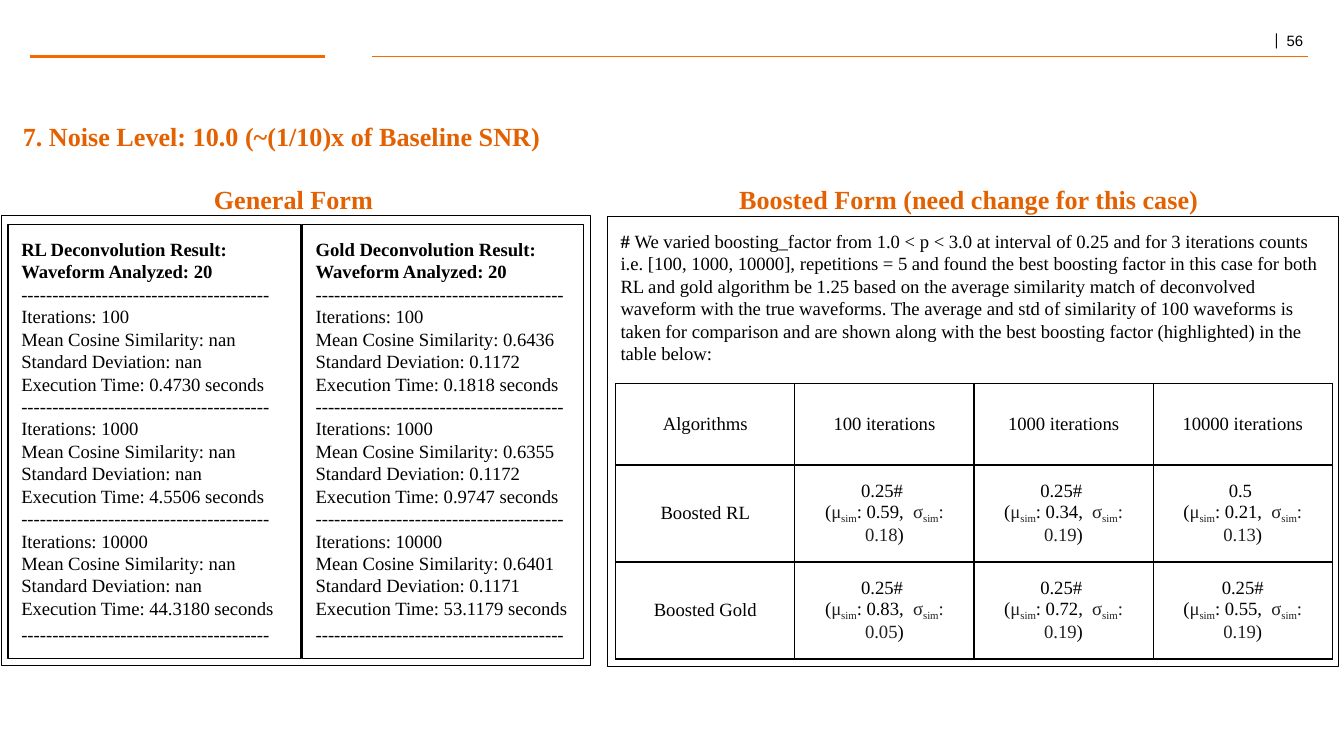
"""Build the slide comparing deconvolution results at noise level 10.0."""
from dataclasses import dataclass

from lxml.etree import SubElement
from pptx import Presentation
from pptx.dml.color import RGBColor
from pptx.enum.shapes import MSO_CONNECTOR, MSO_SHAPE
from pptx.enum.text import MSO_ANCHOR, MSO_AUTO_SIZE, PP_ALIGN
from pptx.oxml.ns import qn
from pptx.shapes.autoshape import Shape
from pptx.slide import Slide
from pptx.table import _Cell
from pptx.text.text import TextFrame, _Paragraph
from pptx.util import Pt

BLACK = RGBColor(0x00, 0x00, 0x00)
GREY = RGBColor(0x22, 0x22, 0x22)
HEADING_ORANGE = RGBColor(0xE4, 0x61, 0x02)
RULE_ORANGE = RGBColor(0xF6, 0x69, 0x00)
FONT = "Times New Roman"
DASHES = "-" * 40
INSET = 7.2


@dataclass(frozen=True)
class Box:
    left: float
    top: float
    width: float
    height: float

    def lengths(self) -> tuple[Pt, Pt, Pt, Pt]:
        return Pt(self.left), Pt(self.top), Pt(self.width), Pt(self.height)


@dataclass(frozen=True)
class Trial:
    iterations: int
    similarity: str
    deviation: str
    seconds: str


@dataclass(frozen=True)
class Report:
    algorithm: str
    box: Box
    trials: tuple[Trial, ...]


@dataclass(frozen=True)
class Score:
    factor: str
    mean: str
    deviation: str


REPORTS = (
    Report("RL", Box(4.3, 120.2, 157, 232.6), (
        Trial(100, "nan", "nan", "0.4730"),
        Trial(1000, "nan", "nan", "4.5506"),
        Trial(10000, "nan", "nan", "44.3180"),
    )),
    Report("Gold", Box(162, 120.2, 150.5, 232.6), (
        Trial(100, "0.6436", "0.1172", "0.1818"),
        Trial(1000, "0.6355", "0.1172", "0.9747"),
        Trial(10000, "0.6401", "0.1171", "53.1179"),
    )),
)
SCORES = {
    "Boosted RL": (Score("0.25# ", "0.59", "0.18"), Score("0.25# ", "0.34", "0.19"),
                   Score("0.5 ", "0.21", "0.13")),
    "Boosted Gold": (Score("0.25# ", "0.83", "0.05"), Score("0.25# ", "0.72", "0.19"),
                     Score("0.25#", "0.55", "0.19")),
}
HEADERS = ("Algorithms", "100 iterations", "1000 iterations", "10000 iterations")
ROW_HEIGHTS = (43.5, 52, 52)
EXPLANATION = (
    "We varied boosting_factor from 1.0 < p < 3.0 at interval of 0.25 and for 3 iterations "
    "counts i.e. [100, 1000, 10000], repetitions = 5 and found the best boosting factor in "
    "this case for both RL and gold algorithm be 1.25 based on the average similarity match "
    "of deconvolved waveform with the true waveforms. The average and std of similarity of "
    "100 waveforms is taken for comparison and are shown along with the best boosting factor "
    "(highlighted) in the table below:"
)


def add_run(paragraph: _Paragraph, text: str, size: float = 10, color: RGBColor = BLACK,
            bold: bool = False, font: str = FONT, subscript: bool = False) -> None:
    run = paragraph.add_run()
    run.text = text
    run.font.name = font
    run.font.size = Pt(size)
    run.font.bold = bold
    run.font.color.rgb = color
    if subscript:
        run.font._element.set("baseline", "-25000")


def format_frame(frame: TextFrame, anchor: MSO_ANCHOR, horizontal: float = INSET,
                 vertical: float = INSET) -> None:
    frame.word_wrap = True
    frame.auto_size = MSO_AUTO_SIZE.NONE
    frame.vertical_anchor = anchor
    frame.margin_left = frame.margin_right = Pt(horizontal)
    frame.margin_top = frame.margin_bottom = Pt(vertical)


def add_rule(slide: Slide, start: float, end: float, width: float) -> None:
    rule = slide.shapes.add_connector(MSO_CONNECTOR.STRAIGHT, Pt(start), Pt(30.3), Pt(end), Pt(30.3))
    rule.line.color.rgb = RULE_ORANGE
    rule.line.width = Pt(width)
    SubElement(rule._element.spPr, qn("a:effectLst"))


def add_frame(slide: Slide, box: Box) -> Shape:
    shape = slide.shapes.add_shape(MSO_SHAPE.RECTANGLE, *box.lengths())
    shape.shadow.inherit = False
    shape.fill.background()
    shape.line.color.rgb = BLACK
    shape.line.width = Pt(0.75)
    format_frame(shape.text_frame, MSO_ANCHOR.TOP)
    shape.text_frame.paragraphs[0].alignment = PP_ALIGN.LEFT
    return shape


def write_heading(shape: Shape, text: str, alignment: PP_ALIGN) -> None:
    format_frame(shape.text_frame, MSO_ANCHOR.MIDDLE)
    paragraph = shape.text_frame.paragraphs[0]
    paragraph.alignment = alignment
    add_run(paragraph, text, 14, HEADING_ORANGE, bold=True)


def add_report(slide: Slide, report: Report) -> None:
    headings = [f"{report.algorithm} Deconvolution Result:", "Waveform Analyzed: 20"]
    lines = headings + [DASHES]
    for trial in report.trials:
        lines += [f"Iterations: {trial.iterations}",
                  f"Mean Cosine Similarity: {trial.similarity}",
                  f"Standard Deviation: {trial.deviation}",
                  f"Execution Time: {trial.seconds} seconds", DASHES]
    frame = add_frame(slide, report.box).text_frame
    for index, line in enumerate(lines):
        paragraph = frame.add_paragraph() if index else frame.paragraphs[0]
        paragraph.alignment = PP_ALIGN.LEFT
        add_run(paragraph, line, bold=line in headings)
    paragraph.line_spacing = 1.15


def format_cell(cell: _Cell) -> None:
    cell.vertical_anchor = MSO_ANCHOR.MIDDLE
    cell.margin_left = cell.margin_right = cell.margin_top = cell.margin_bottom = Pt(INSET)
    properties = cell._tc.get_or_add_tcPr()
    for side in ("a:lnL", "a:lnR", "a:lnT", "a:lnB"):
        border = SubElement(properties, qn(side), w=str(Pt(0.75)))
        fill = SubElement(border, qn("a:solidFill"))
        SubElement(fill, qn("a:srgbClr"), val=str(BLACK))
    cell.fill.background()
    cell.text_frame.paragraphs[0].alignment = PP_ALIGN.CENTER


def write_score(cell: _Cell, score: Score) -> None:
    add_run(cell.text_frame.paragraphs[0], score.factor)
    paragraph = cell.text_frame.add_paragraph()
    paragraph.alignment = PP_ALIGN.CENTER
    add_run(paragraph, "(")
    add_run(paragraph, "μ", color=GREY)
    add_run(paragraph, "sim", color=GREY, subscript=True)
    add_run(paragraph, f": {score.mean},  ")
    add_run(paragraph, "σ", color=GREY)
    add_run(paragraph, "sim", color=GREY, subscript=True)
    add_run(paragraph, f": {score.deviation}", color=GREY)
    add_run(paragraph, ")")


def add_score_table(slide: Slide, box: Box) -> None:
    table = slide.shapes.add_table(len(ROW_HEIGHTS), len(HEADERS), *box.lengths()).table
    table.first_row = table.horz_banding = False
    for row, height in zip(table.rows, ROW_HEIGHTS):
        row.height = Pt(height)
    for cell in table.iter_cells():
        format_cell(cell)
    for column, header in enumerate(HEADERS):
        add_run(table.cell(0, column).text_frame.paragraphs[0], header)
    for row, (algorithm, scores) in enumerate(SCORES.items(), start=1):
        add_run(table.cell(row, 0).text_frame.paragraphs[0], algorithm)
        for column, score in enumerate(scores, start=1):
            write_score(table.cell(row, column), score)


def main() -> None:
    presentation = Presentation()
    presentation.slide_width, presentation.slide_height = Pt(720), Pt(405)
    slide = presentation.slides.add_slide(presentation.slide_layouts[5])
    title = slide.shapes.title
    title.left, title.top, title.width, title.height = Box(5, 63.4, 304.6, 18.7).lengths()
    write_heading(title, "7. Noise Level: 10.0 (~(1/10)x of Baseline SNR)", PP_ALIGN.LEFT)

    page_number = slide.shapes.add_textbox(*Box(677.5, 15.1, 73.4, 14.4).lengths())
    format_frame(page_number.text_frame, MSO_ANCHOR.TOP, 5, 2.9)
    paragraph = page_number.text_frame.paragraphs[0]
    paragraph.line_spacing = 0.8
    add_run(paragraph, "|  ", 9, font="Cambria")
    add_run(paragraph, "56", 8, font="Arial")
    add_rule(slide, 16, 174, 2)
    add_rule(slide, 199.3, 700.6, 1)

    add_frame(slide, Box(0.9, 115.5, 315.4, 241.2))
    for report in REPORTS:
        add_report(slide, report)
    for text, box in (("General Form", Box(5, 97.2, 304.6, 18.7)),
                      ("Boosted Form (need change for this case) ", Box(388, 90.7, 265.7, 31.7))):
        write_heading(slide.shapes.add_textbox(*box.lengths()), text, PP_ALIGN.CENTER)

    explanation = add_frame(slide, Box(325.4, 115.9, 391.7, 241.2)).text_frame.paragraphs[0]
    add_run(explanation, "# ", bold=True)
    add_run(explanation, EXPLANATION)
    add_score_table(slide, Box(329.8, 205.6, 384, sum(ROW_HEIGHTS)))
    presentation.save("out.pptx")


if __name__ == "__main__":
    main()
